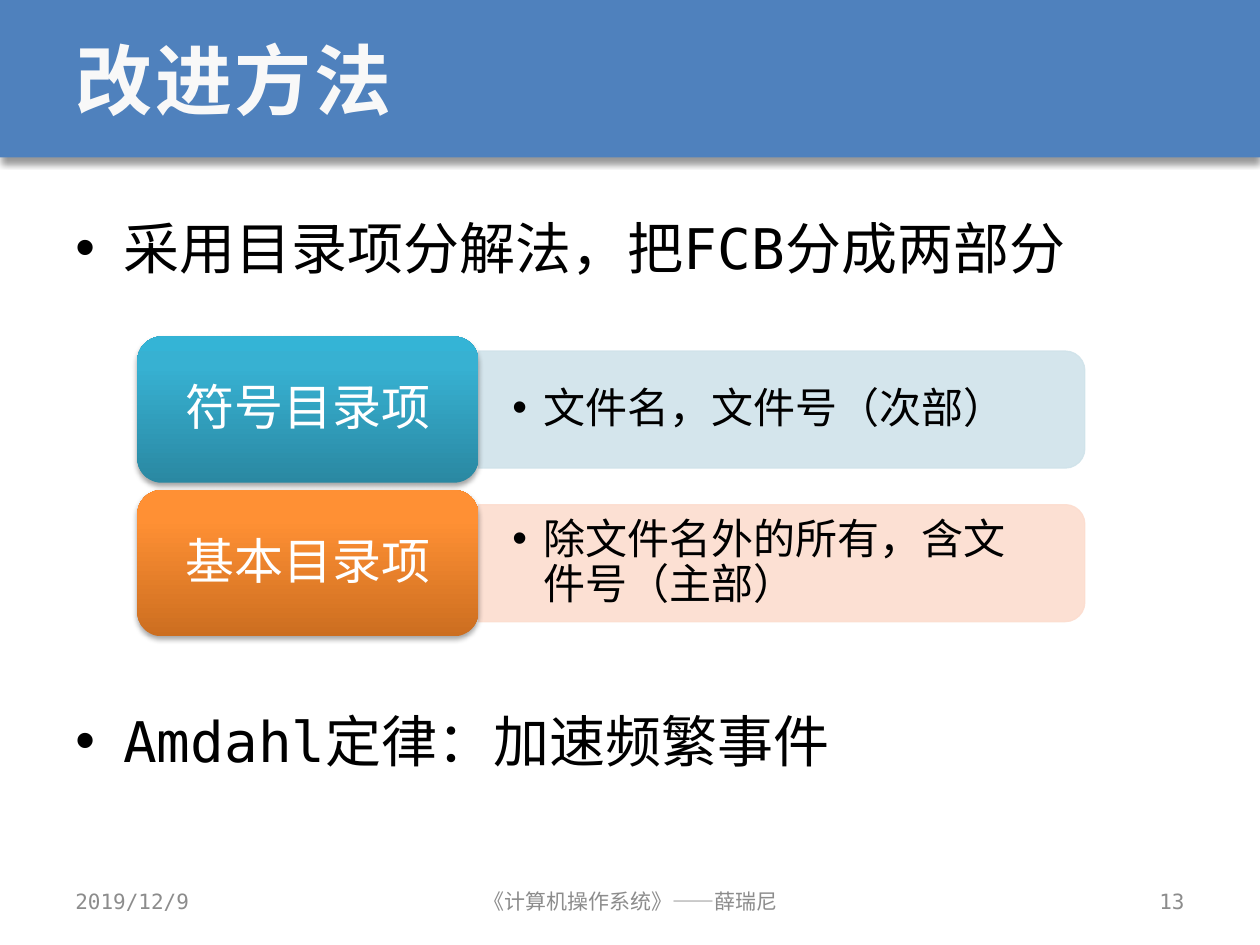
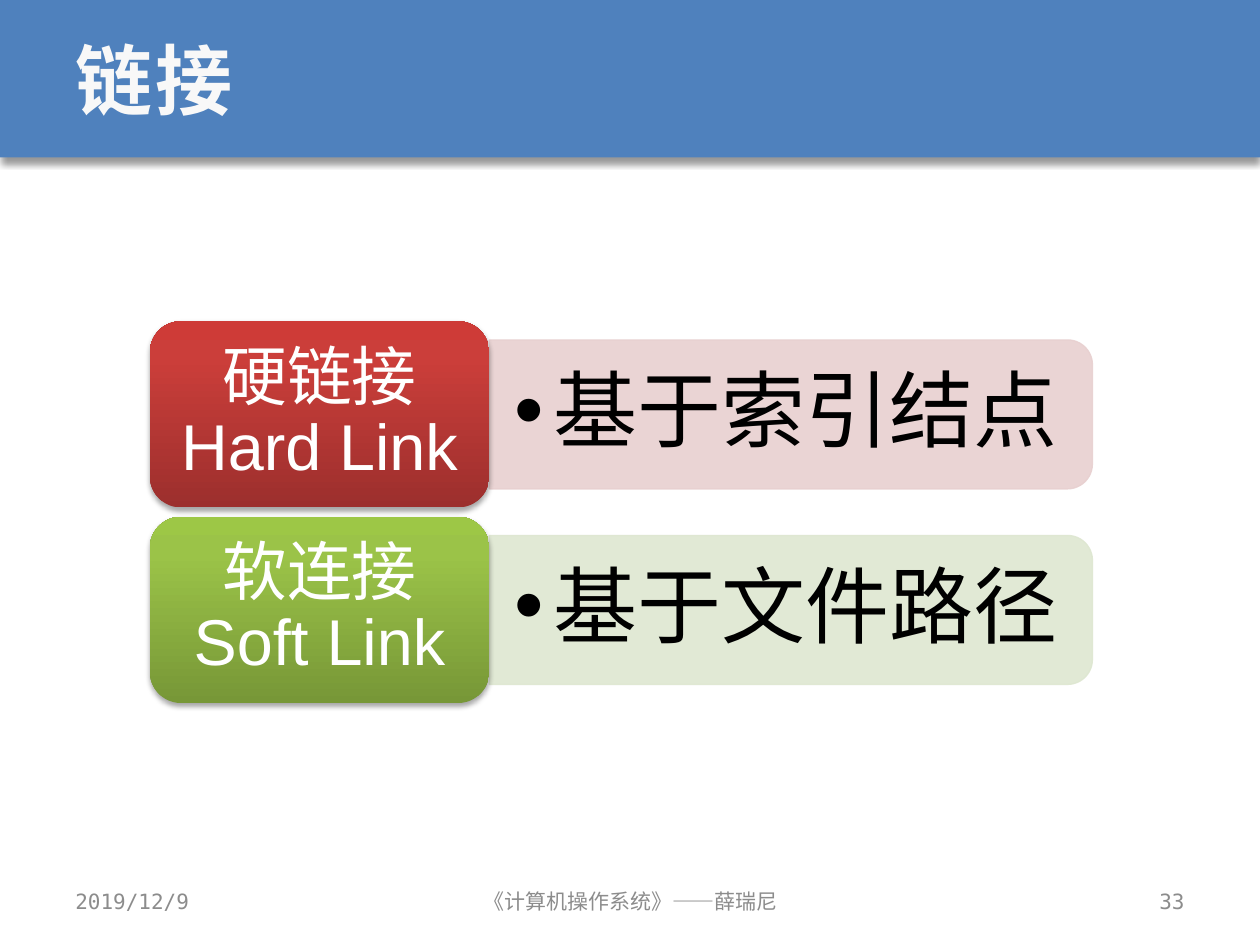
from copy import deepcopy
from dataclasses import dataclass

from lxml import etree
from pptx import Presentation
from pptx.dml.color import RGBColor
from pptx.enum.lang import MSO_LANGUAGE_ID as Language
from pptx.enum.shapes import MSO_SHAPE as Shape
from pptx.enum.text import MSO_ANCHOR as Anchor, PP_ALIGN as Align
from pptx.oxml.ns import qn
from pptx.util import Inches, Pt


@dataclass(frozen=True)
class Theme:
    code_font: str = "DejaVu Sans Mono"
    diagram_font: str = "Arial"
    band: str = "4F81BD"
    title: str = "F8F8F8"
    text: str = "000000"
    label: str = "FFFFFF"
    footer: str = "8C8C8C"
    title_size: int = 44
    bullet_size: int = 32
    footer_size: int = 12
    blue: tuple = ("2A88A2", "37B1D2", "34B4D6", "D0E3EA")
    orange: tuple = ("CC6E20", "FF9034", "FF9136", "FCDDCF")
    red: tuple = ("9C2F2D", "CB3E3A", "CE3B37", "E8D0D0")
    green: tuple = ("779737", "9BC348", "9DC746", "DEE7D1")
    gradient_positions: tuple = (0, 0.8, 1)


@dataclass(frozen=True)
class RowStyle:
    label_size: int
    detail_size: int
    indent: float
    inset: float


THEME = Theme()
FOOTERS = (
    (0.5, 2.33, Align.LEFT),
    (3.42, 3.17, Align.CENTER),
    (7.17, 2.33, Align.RIGHT),
)


def add_child(parent, tag, **attributes):
    return etree.SubElement(parent, qn(tag), {key: str(value) for key, value in attributes.items()})


def add_run(paragraph, text, font_name, size, color, bold=False, east_asian=True):
    run = paragraph.add_run()
    run.text = text
    font = run.font
    font.name = font_name
    font.size = Pt(size)
    font.bold = bold
    font.color.rgb = RGBColor.from_string(color)
    font.language_id = Language.SIMPLIFIED_CHINESE
    if east_asian:
        add_child(run._r.get_or_add_rPr(), "a:ea", typeface=font_name)
    return run


def add_bullet(paragraph, indent):
    properties = paragraph._p.get_or_add_pPr()
    properties.set("marL", str(Inches(indent)))
    properties.set("indent", str(-Inches(indent)))
    add_child(properties, "a:buFont", typeface="Arial")
    add_child(properties, "a:buChar", char="•")


def set_frame(frame, horizontal=0.1, vertical=0.05):
    frame.word_wrap = True
    frame.vertical_anchor = Anchor.MIDDLE
    frame.margin_left = frame.margin_right = Inches(horizontal)
    frame.margin_top = frame.margin_bottom = Inches(vertical)
    return frame.paragraphs[0]


def add_text_box(slide, left, top, width, height, **margins):
    box = slide.shapes.add_textbox(Inches(left), Inches(top), Inches(width), Inches(height))
    return set_frame(box.text_frame, **margins)


def add_plain_shape(slide, kind, left, top, width, height):
    shape = slide.shapes.add_shape(kind, Inches(left), Inches(top), Inches(width), Inches(height))
    shape.shadow.inherit = False
    shape.line.fill.background()
    return shape


def set_shadow(shape, opacity, blur, distance):
    effects = shape._element.spPr.find(qn("a:effectLst"))
    shadow = add_child(effects, "a:outerShdw", blurRad=Pt(blur), dist=Pt(distance),
                       dir=90 * 60000, rotWithShape=0)
    color = add_child(shadow, "a:srgbClr", val="000000")
    add_child(color, "a:alpha", val=opacity * 1000)


def set_gradient(shape, colors):
    shape.fill.gradient()
    shape.fill.gradient_angle = 90
    stop_list = shape._element.spPr.find(".//" + qn("a:gsLst"))
    stop_list.append(deepcopy(stop_list[1]))
    for stop, position, color in zip(shape.fill.gradient_stops, THEME.gradient_positions, colors):
        stop.position = position
        stop.color.rgb = RGBColor.from_string(color)


def add_label(slide, left, top, width, height, lines, colors, style):
    label = add_plain_shape(slide, Shape.ROUNDED_RECTANGLE, left, top, width, height)
    set_gradient(label, colors)
    set_shadow(label, 35, 3.1, 1.8)
    paragraph = set_frame(label.text_frame, 0.1, 0.05)
    paragraph.alignment = Align.CENTER
    paragraph.line_spacing = 0.9
    for index, line in enumerate(lines):
        if index:
            paragraph.add_line_break()
        add_run(paragraph, line, THEME.diagram_font, style.label_size, THEME.label)


def add_detail(slide, left, top, width, height, text, color, style):
    panel = add_plain_shape(slide, Shape.ROUND_2_SAME_RECTANGLE,
                            left + (width - height) / 2, top + (height - width) / 2, height, width)
    panel.rotation = 90
    panel.fill.solid()
    panel.line.fill.solid()
    panel.line.width = Pt(0.75)
    for fill in (panel.fill, panel.line.fill):
        fill.fore_color.rgb = RGBColor.from_string(color)
    for element in panel._element.spPr.iter(qn("a:srgbClr")):
        add_child(element, "a:alpha", val=90000)

    paragraph = add_text_box(slide, left, top, width - 0.05, height,
                             horizontal=style.inset, vertical=style.inset / 2)
    add_bullet(paragraph, style.indent)
    paragraph.line_spacing = 0.9
    add_run(paragraph, text, THEME.diagram_font, style.detail_size, THEME.text)


def add_row_diagram(slide, left, top, width, height, rows, style):
    row_height = height / (1.05 * len(rows) - 0.05)
    label_width = 0.36 * width
    for index, (lines, detail, colors) in enumerate(rows):
        row_top = top + index * 1.05 * row_height
        add_detail(slide, left + label_width, row_top + 0.1 * row_height,
                   width - label_width, 0.8 * row_height, detail, colors[-1], style)
        add_label(slide, left, row_top, label_width, row_height, lines, colors[:-1], style)


def add_bullet_line(slide, left, top, width, height, text):
    paragraph = add_text_box(slide, left, top, width, height)
    add_bullet(paragraph, 0.38)
    add_run(paragraph, text, THEME.code_font, THEME.bullet_size, THEME.text)


def add_header(slide, title_text):
    band = add_plain_shape(slide, Shape.RECTANGLE, 0, 0, 10, 1.25)
    band.fill.solid()
    band.fill.fore_color.rgb = RGBColor.from_string(THEME.band)
    set_shadow(band, 40, 4, 3)
    title = slide.shapes.title
    title._element.addprevious(band._element)
    title.left, title.top, title.width, title.height = map(Inches, (0.5, 0, 9, 1.25))
    paragraph = set_frame(title.text_frame)
    paragraph.alignment = Align.LEFT
    run = add_run(paragraph, title_text, THEME.code_font, THEME.title_size, THEME.title, bold=True)
    run._r.get_or_add_rPr().set("spc", "150")


def add_footer(slide, top, height, number):
    texts = ("2019/12/9", "《计算机操作系统》——薛瑞尼", number)
    for text, (left, width, alignment) in zip(texts, FOOTERS):
        paragraph = add_text_box(slide, left, top, width, height)
        paragraph.alignment = alignment
        add_run(paragraph, text, THEME.code_font, THEME.footer_size, THEME.footer, east_asian=False)


def add_base_slide(presentation, title_text, number):
    slide = presentation.slides.add_slide(presentation.slide_layouts.get_by_name("Title Only"))
    add_header(slide, title_text)
    add_footer(slide, 6.95, 0.4, number)
    return slide


def build_improvement_slide(presentation):
    slide = add_base_slide(presentation, "改进方法", "13")
    add_bullet_line(slide, 0.5, 1.51, 9, 0.9, "采用目录项分解法，把FCB分成两部分")
    add_bullet_line(slide, 0.5, 5.42, 9, 0.9, "Amdahl定律：加速频繁事件")
    rows = (
        (("符号目录项",), "文件名，文件号（次部）", THEME.blue),
        (("基本目录项",), "除文件名外的所有，含文件号（主部）", THEME.orange),
    )
    add_row_diagram(slide, 1.09, 2.67, 7.52, 2.38, rows, RowStyle(28, 24, 0.25, 0.27))


def build_link_slide(presentation):
    slide = add_base_slide(presentation, "链接", "33")
    rows = (
        (("硬链接", "Hard Link"), "基于索引结点", THEME.red),
        (("软连接", "Soft Link"), "基于文件路径", THEME.green),
    )
    add_row_diagram(slide, 1.19, 2.55, 7.48, 3.03, rows, RowStyle(37, 48, 0.31, 0.2))


def main():
    presentation = Presentation()
    presentation.slide_width = Inches(10)
    presentation.slide_height = Inches(7.5)
    build_improvement_slide(presentation)
    build_link_slide(presentation)
    presentation.save("out.pptx")


if __name__ == "__main__":
    main()
